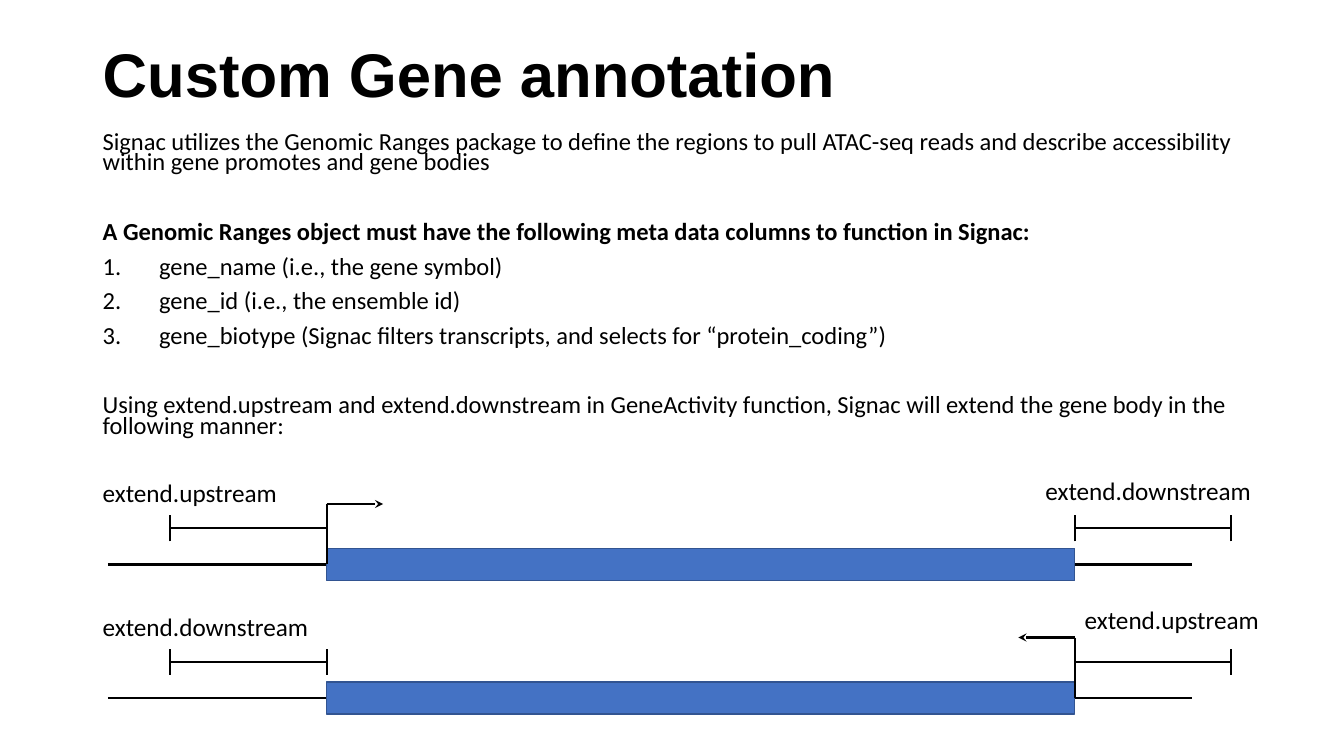
from lxml import etree
from pptx import Presentation
from pptx.dml.color import RGBColor
from pptx.enum.shapes import MSO_CONNECTOR as CONN, MSO_SHAPE as SHAPE
from pptx.enum.text import MSO_ANCHOR as ANCHOR
from pptx.oxml.ns import qn
from pptx.util import Inches, Pt

COLORS = {"ink": "000000", "gene": "4472C4", "edge": "325491"}
CELL = Inches(0.1)
LEFT, WIDTH = 9.2, 115
GENE_START, GENE_END = 23.2, 97.4
AXIS = (1.5, 109)
REACH = (7.65, 112.9)
TRACK_STEP = 13.25

BODY = [
    ("Signac utilizes the Genomic Ranges package to define the regions to pull "
     "ATAC-seq reads and describe accessibility within gene promotes and gene bodies",
     "text", 0),
    ("A Genomic Ranges object must have the following meta data columns to "
     "function in Signac:", "bold", 35),
    ("gene_name (i.e., the gene symbol)", "item", 10),
    ("gene_id (i.e., the ensemble id)", "item", 10),
    ("gene_biotype (Signac filters transcripts, and selects for “protein_coding”)",
     "item", 10),
    ("Using extend.upstream and extend.downstream in GeneActivity function, Signac "
     "will extend the gene body in the following manner:", "text", 35),
]


def cells(*values):
    """Convert grid cells to slide lengths."""
    return [round(v * CELL) for v in values]


def rgb(name):
    """Look up a named colour."""
    return RGBColor.from_string(COLORS[name])


def set_font(font, **values):
    """Apply format values and the ink colour to a font."""
    for name, value in values.items():
        setattr(font, name, value)
    font.color.rgb = rgb("ink")


def add_frame(s, box, anchor=ANCHOR.TOP):
    """Add a wrapping text box and return its text frame."""
    tf = s.shapes.add_textbox(*cells(*box)).text_frame
    tf.word_wrap = True
    tf.vertical_anchor = anchor
    return tf


def add_title(s, box, text):
    """Place the slide heading."""
    p = add_frame(s, box, ANCHOR.MIDDLE).paragraphs[0]
    p.line_spacing = 0.9
    r = p.add_run()
    r.text = text
    set_font(r.font, name="Arial", size=Pt(44), bold=True)


def add_body(s, box):
    """Place the explanation with its numbered list."""
    tf = add_frame(s, box)
    for i, (text, kind, before) in enumerate(BODY):
        p = tf.add_paragraph() if i else tf.paragraphs[0]
        if kind == "item":
            pPr = p._p.get_or_add_pPr()
            pPr.set("marL", str(Inches(0.56)))
            pPr.set("indent", str(-Inches(0.56)))
            etree.SubElement(pPr, qn("a:buAutoNum"), type="arabicPeriod")
        p.line_spacing, p.space_before = 0.7, Pt(before)
        r = p.add_run()
        r.text = text
        set_font(r.font, name="Calibri", size=Pt(17.5), bold=kind == "bold")


def add_label(s, x, y, text):
    """Place the name of one extension."""
    p = add_frame(s, (x, y, 23.2, 4)).paragraphs[0]
    r = p.add_run()
    r.text = text
    set_font(r.font, name="Calibri", size=Pt(18))


def add_line(s, x1, y1, x2, y2, arrow=False):
    """Draw a thin straight line, with an arrowhead if asked."""
    c = s.shapes.add_connector(CONN.STRAIGHT, *cells(x1, y1, x2, y2))
    c.line.color.rgb = rgb("ink")
    c.line.width = Pt(1.5)
    spPr = c._element.spPr
    if arrow:
        etree.SubElement(spPr.find(qn("a:ln")), qn("a:tailEnd"), type="stealth")
    etree.SubElement(spPr, qn("a:effectLst"))
    return c


def add_track(s, x, y, forward, labels):
    """Draw one gene with its start arrow and extensions; y is the arrow's row."""
    start, end = x + GENE_START, x + GENE_END
    far_left, far_right = (x + v for v in REACH)
    add_line(s, x + AXIS[0], y + 6, x + AXIS[1], y + 6)

    gene = s.shapes.add_shape(SHAPE.RECTANGLE,
                              *cells(start, y + 4.4, end - start, 3.2))
    gene.shadow.inherit = False
    gene.fill.solid()
    gene.fill.fore_color.rgb = rgb("gene")
    gene.line.color.rgb = rgb("edge")
    gene.line.width = Pt(1)

    tss, stop, side, step = (start, end, 1, 5.6) if forward else (end, start, 3, -5.6)
    add_line(s, tss, y, tss, y + 6).end_connect(gene, side)
    add_line(s, tss, y, tss + step, y, arrow=True)

    for x1, x2 in ((far_left, start), (end, far_right)):
        add_line(s, x1, y + 2.4, x2, y + 2.4)
    for tick in (far_left, far_right, stop):
        add_line(s, tick, y + 3.7, tick, y + 1.1)
    for text, dx, dy in labels:
        add_label(s, x + dx, y + dy, text)


def main():
    """Build and save the slide."""
    prs = Presentation()
    prs.slide_width, prs.slide_height = Inches(13.33), Inches(7.5)
    s = prs.slides.add_slide(prs.slide_layouts[6])
    add_title(s, (LEFT, 0.4, WIDTH, 14.5), "Custom Gene annotation")
    add_body(s, (LEFT, 12.8, WIDTH, 33.9))
    tracks = [
        (True, [("extend.upstream", 0, -3.1), ("extend.downstream", 93.5, -3.3)]),
        (False, [("extend.downstream", 0, -3.1), ("extend.upstream", 97.4, -3.8)]),
    ]
    for i, (forward, labels) in enumerate(tracks):
        add_track(s, LEFT, 50 + i * TRACK_STEP, forward, labels)
    prs.save("out.pptx")


if __name__ == "__main__":
    main()
